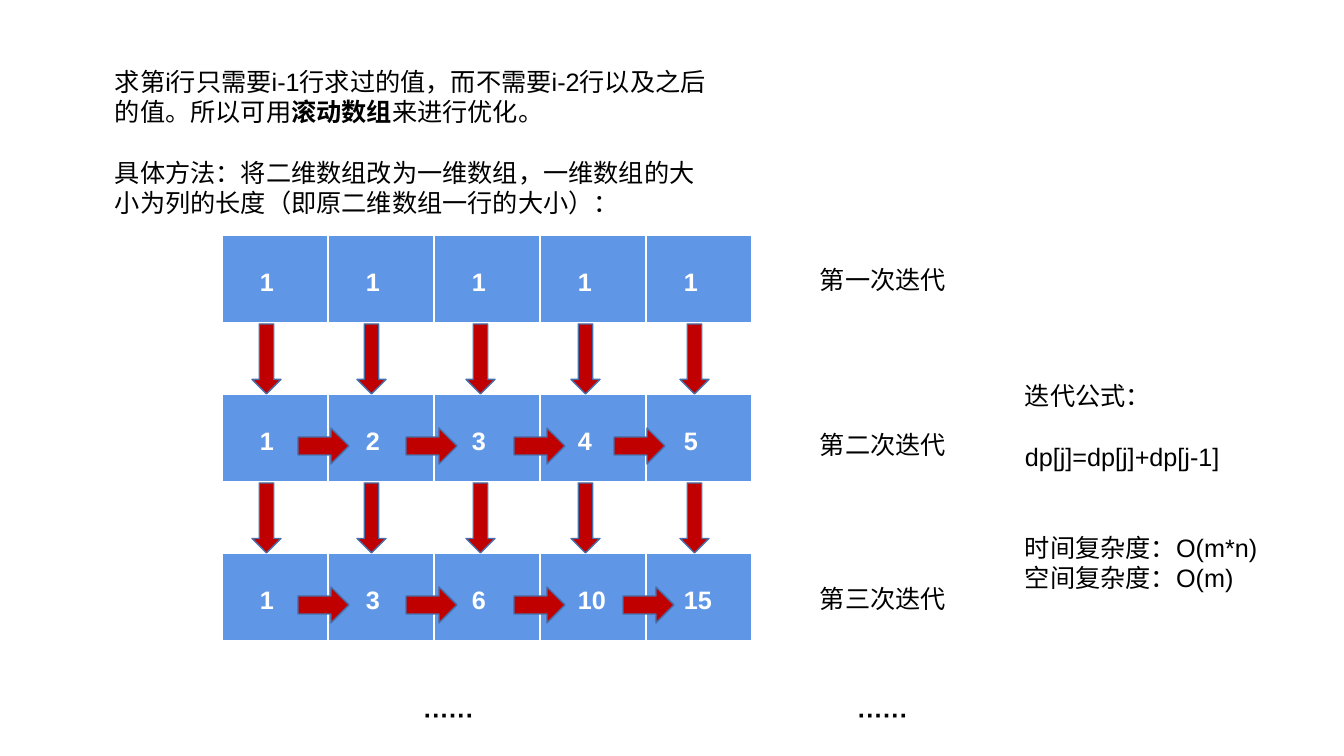
"""Builds the slide on optimising a grid-path recurrence with a rolling array."""
import pptx
import pptx.dml.color
import pptx.enum.shapes
import pptx.oxml
import pptx.oxml.ns
import pptx.util

PX = 914400 / 100.8
COLORS = {"text": "000000", "cell": "6096E6", "white": "FFFFFF", "arrow": "C00000", "outline": "476FAA"}


def px(*lengths):
    return [pptx.util.Emu(round(length * PX)) for length in lengths]


def write(frame, paragraphs, color="text", bold=False, gap=0, wrap=True):
    frame.word_wrap = wrap
    for index, runs in enumerate(paragraphs):
        paragraph = frame.add_paragraph() if index else frame.paragraphs[0]
        paragraph.space_before = pptx.util.Pt(gap if index else 0)
        for position, words in enumerate(runs):
            run = paragraph.add_run()
            run.text = words
            run.font.name = "Arial"
            run.font.size = pptx.util.Pt(18)
            run.font.bold = bold or position == 1
            run.font.color.rgb = pptx.dml.color.RGBColor.from_string(COLORS[color])


deck = pptx.Presentation()
deck.slide_width, deck.slide_height = px(1344, 756)
slide = deck.slides.add_slide(deck.slide_layouts[6])

COLUMN_WIDTH, ROW_HEIGHT = 106, 89
TABLE_LEFT, TABLE_TOP, TABLE_STEP = 222, 235, 159
iterations = [[1, 1, 1, 1, 1], [1, 2, 3, 4, 5], [1, 3, 6, 10, 15]]
borders = {"a:lnL": 1, "a:lnR": 1, "a:lnT": 1, "a:lnB": 3}

for step, values in enumerate(iterations):
    top = TABLE_TOP + step * TABLE_STEP
    array = slide.shapes.add_table(
        1, len(values), *px(TABLE_LEFT, top, COLUMN_WIDTH * len(values), ROW_HEIGHT)).table
    for column, value in enumerate(values):
        array.columns[column].width = px(COLUMN_WIDTH)[0]
        cell = array.cell(0, column)
        cell.margin_left, cell.margin_top = px(38, 34)
        write(cell.text_frame, [[str(value)]], color="white", bold=True)
        properties = cell._tc.get_or_add_tcPr()
        for edge, points in borders.items():
            border = pptx.oxml.parse_xml(
                f'<{edge} {pptx.oxml.ns.nsdecls("a")} w="{points * 12700}"><a:solidFill>'
                f'<a:srgbClr val="{COLORS["white"]}"/></a:solidFill></{edge}>')
            properties.append(border)
        cell.fill.solid()
        cell.fill.fore_color.rgb = pptx.dml.color.RGBColor.from_string(COLORS["cell"])

DOWN = pptx.enum.shapes.MSO_SHAPE.DOWN_ARROW
RIGHT = pptx.enum.shapes.MSO_SHAPE.RIGHT_ARROW
down_lefts = [252, 357, 466, 571, 680]
right_lefts = {1: [298, 406, 514, 614], 2: [298, 406, 514, 623]}
arrows = []
for step, lefts in right_lefts.items():
    top = TABLE_TOP + step * TABLE_STEP
    arrows += [(DOWN, left, top - 70, 29, 70) for left in down_lefts]
    arrows += [(RIGHT, left, top + 34, 51, 36) for left in lefts]
for kind, *box in arrows:
    arrow = slide.shapes.add_shape(kind, *px(*box))
    arrow.shadow.inherit = False
    arrow.fill.solid()
    arrow.fill.fore_color.rgb = pptx.dml.color.RGBColor.from_string(COLORS["arrow"])
    arrow.line.color.rgb = pptx.dml.color.RGBColor.from_string(COLORS["outline"])
    arrow.line.width = pptx.util.Pt(1)

explanation = [
    ["求第i行只需要i-1行求过的值，而不需要i-2行以及之后的值。所以可用", "滚动数组", "来进行优化。"],
    ["具体方法：将二维数组改为一维数组，一维数组的大小为列的长度（即原二维数组一行的大小）："],
]
notes = [
    ((105, 61, 621, 194), explanation, {"gap": 22}),
    ((810, 259, 308, 40), [["第一次迭代"]], {}),
    ((810, 424, 146, 40), [["第二次迭代"]], {"wrap": False}),
    ((810, 578, 146, 40), [["第三次迭代"]], {"wrap": False}),
    ((1015, 375, 215, 102), [["迭代公式："], ["dp[j]=dp[j]+dp[j-1]"]], {"gap": 22}),
    ((1015, 527, 278, 72), [["时间复杂度：O(m*n)"], ["空间复杂度：O(m)"]], {}),
    ((414, 694, 109, 40), [["······"]], {"bold": True}),
    ((848, 694, 71, 40), [["······"]], {"bold": True, "wrap": False}),
]
for box, paragraphs, style in notes:
    write(slide.shapes.add_textbox(*px(*box)).text_frame, paragraphs, **style)

deck.save("out.pptx")
